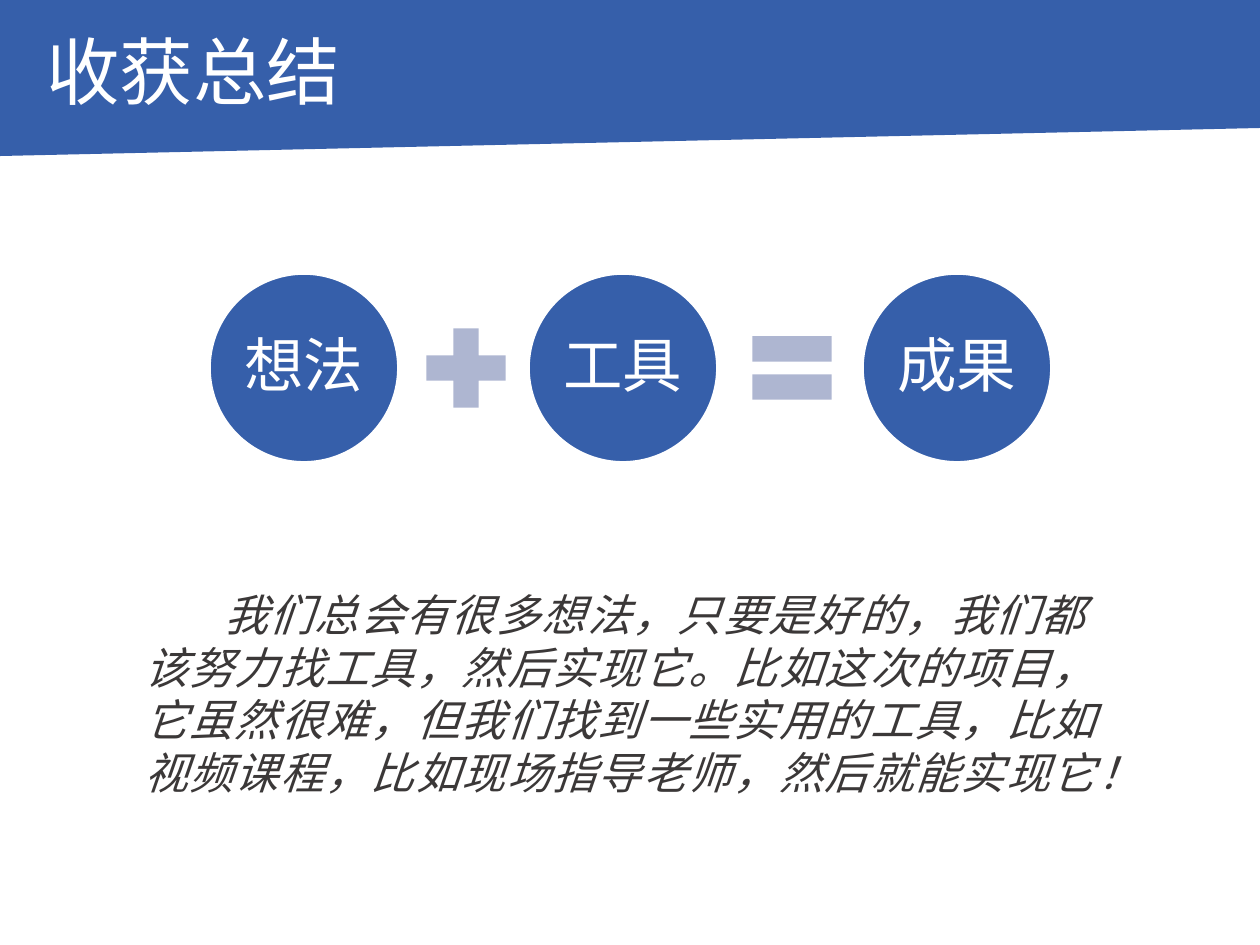
from lxml import etree
from pptx import Presentation
from pptx.dml.color import RGBColor
from pptx.enum.shapes import MSO_SHAPE
from pptx.enum.text import MSO_ANCHOR, PP_ALIGN
from pptx.oxml.ns import qn
from pptx.util import Pt

PX = 914400 // 126
FONT = "Noto Sans CJK SC"
COLORS = {"blue": "365FAA", "pale": "AEB6D1", "white": "FFFFFF", "text": "3B3838"}
CIRCLE, PLUS, EQUAL = MSO_SHAPE.OVAL, MSO_SHAPE.MATH_PLUS, MSO_SHAPE.MATH_EQUAL
MIDDLE, BOTTOM = MSO_ANCHOR.MIDDLE, MSO_ANCHOR.BOTTOM
LEFT, CENTER = PP_ALIGN.LEFT, PP_ALIGN.CENTER


def paint(shape, color):
    shape.shadow.inherit = False
    shape.fill.solid()
    shape.fill.fore_color.rgb = RGBColor.from_string(COLORS[color])
    shape.line.fill.background()


def write(shape, text, size, color, align, anchor, spacing):
    frame = shape.text_frame
    frame.word_wrap = True
    frame.vertical_anchor = anchor
    para = frame.paragraphs[0]
    para.text = text
    para.alignment = align
    para.line_spacing = spacing
    font = para.font
    font.name = FONT
    font.size = Pt(size)
    font.color.rgb = RGBColor.from_string(COLORS[color])
    properties = para._p.pPr.find(qn("a:defRPr"))
    etree.SubElement(properties, qn("a:ea"), typeface=FONT)
    return para


deck = Presentation()
deck.slide_width, deck.slide_height = 1260 * PX, 945 * PX
page = deck.slides.add_slide(deck.slide_layouts[6])

# Header band with a slanted lower edge
outline = page.shapes.build_freeform(0, 0, scale=PX)
outline.add_line_segments([(1260, 0), (1260, 128), (0, 156)], close=True)
paint(outline.convert_to_shape(), "blue")

# Title
title = page.shapes.add_textbox(34 * PX, 34 * PX, 1145 * PX, 84 * PX)
write(title, "收获总结", 42, "white", LEFT, MIDDLE, 0.9)

# Equation: idea + tool = result
for left, word in [(210, "想法"), (529, "工具"), (863, "成果")]:
    circle = page.shapes.add_shape(CIRCLE, left * PX, 274 * PX, 188 * PX, 188 * PX)
    paint(circle, "blue")
    circle.line.color.rgb = RGBColor.from_string(COLORS["white"])
    circle.line.width = Pt(1)
    frame = circle.text_frame
    frame.margin_left = frame.margin_right = 0
    write(circle, word, 34, "white", CENTER, MIDDLE, 0.9)

for left, kind in [(412, PLUS), (738, EQUAL)]:
    sign = page.shapes.add_shape(kind, left * PX, 314 * PX, 108 * PX, 108 * PX)
    paint(sign, "pale")

# Closing remark, first line indented
remark = page.shapes.add_textbox(125 * PX, 524 * PX, 992 * PX, 285 * PX)
remark.text_frame.margin_bottom = 11 * PX
para = write(
    remark,
    "我们总会有很多想法，只要是好的，我们都该努力找工具，然后实现它。"
    "比如这次的项目，它虽然很难，但我们找到一些实用的工具，"
    "比如视频课程，比如现场指导老师，然后就能实现它！",
    25, "text", CENTER, BOTTOM, Pt(30))
para.font.italic = True
para._p.pPr.set("indent", str(69 * PX))
para._p.pPr.find(qn("a:defRPr")).set("spc", "100")

deck.save("out.pptx")
